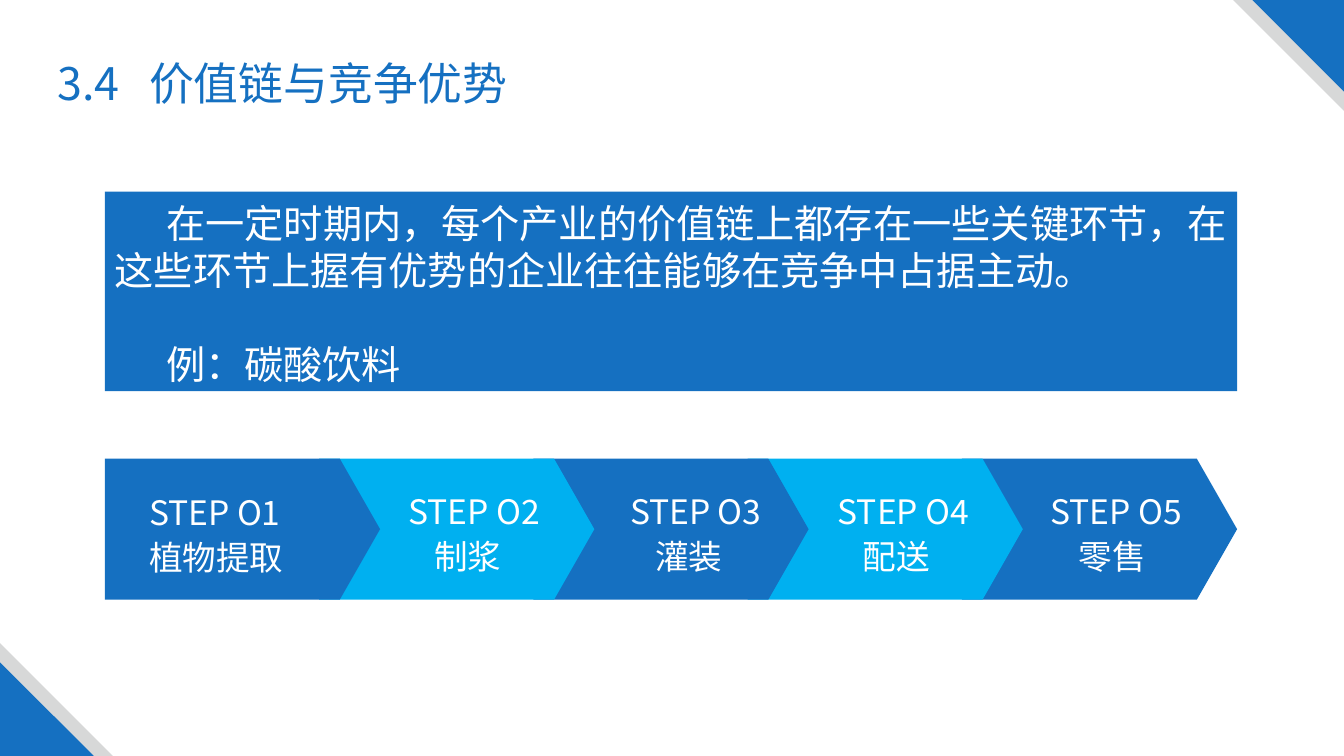
from dataclasses import dataclass

from lxml.etree import SubElement
from pptx import Presentation
from pptx.dml.color import RGBColor
from pptx.enum.shapes import MSO_SHAPE
from pptx.enum.text import MSO_ANCHOR, PP_ALIGN
from pptx.oxml.ns import qn
from pptx.util import Inches, Pt


@dataclass(frozen=True)
class Theme:
    font: str = "Noto Sans CJK SC"
    blue: RGBColor = RGBColor(0x15, 0x70, 0xC1)
    sky: RGBColor = RGBColor(0x00, 0xB0, 0xF0)
    grey: RGBColor = RGBColor(0xD7, 0xD8, 0xD8)
    white: RGBColor = RGBColor(0xFF, 0xFF, 0xFF)
    title: int = 32
    body: int = 28
    step: int = 24
    leading: float = 1.2


theme = Theme()
prs = Presentation()
prs.slide_width, prs.slide_height = Inches(13.33), Inches(7.5)
s = prs.slides.add_slide(prs.slide_layouts[6])


def add_block(kind, left, top, width, height, fill):
    sp = s.shapes.add_shape(kind, Inches(left), Inches(top), Inches(width), Inches(height))
    sp.shadow.inherit = False
    sp.fill.solid()
    sp.fill.fore_color.rgb = fill
    sp.line.fill.background()
    return sp


def write(sp, lines, size, color, wrap=True, align=PP_ALIGN.LEFT):
    tf = sp.text_frame
    tf.word_wrap = wrap
    tf.vertical_anchor = MSO_ANCHOR.TOP
    tf.margin_top, tf.margin_bottom = Inches(0.08), Inches(0)
    for i, line in enumerate(lines):
        p = tf.paragraphs[0] if i == 0 else tf.add_paragraph()
        p.alignment = align
        p.line_spacing = Pt(size * theme.leading)
        if i:
            p.space_before = Pt(size * theme.leading)
        r = p.add_run()
        r.text = line
        r.font.name = theme.font
        r.font.size = Pt(size)
        r.font.color.rgb = color
        SubElement(r.font._element, qn("a:ea"), typeface=theme.font)
    return tf


# Corner triangles, grey behind blue
for size, color in ((1.1, theme.grey), (0.91, theme.blue)):
    sp = add_block(MSO_SHAPE.RIGHT_TRIANGLE, 13.33 - size, 0, size, size, color)
    sp.rotation = 180
for size, color in ((1.12, theme.grey), (0.93, theme.blue)):
    add_block(MSO_SHAPE.RIGHT_TRIANGLE, 0, 7.5 - size, size, size, color)

# Title, with a tab after the section number
sp = s.shapes.add_textbox(Inches(0.47), Inches(0.47), Inches(5.92), Inches(0.64))
tf = write(sp, ["3.4\t价值链与竞争优势"], theme.title, theme.blue)
tabs = SubElement(tf.paragraphs[0]._p.get_or_add_pPr(), qn("a:tabLst"))
SubElement(tabs, qn("a:tab"), pos=str(Inches(0.91)), algn="l")

# Explanation panel
sp = add_block(MSO_SHAPE.RECTANGLE, 1.04, 1.9, 11.23, 1.98, theme.blue)
tf = write(sp, [
    "在一定时期内，每个产业的价值链上都存在一些关键环节，在这些环节上握有优势的企业往往能够在竞争中占据主动。",
    "例：碳酸饮料",
], theme.body, theme.white, align=PP_ALIGN.JUSTIFY)
for p in tf.paragraphs:
    p._p.get_or_add_pPr().set("indent", str(Inches(0.51)))

# Value chain: step label and left, stage name and left and width, top of label
steps = [
    ("STEP O1", 1.38, "植物提取", 1.38, 1.55, 4.8),
    ("STEP O2", 3.95, "制浆", 4.21, 0.88, 4.79),
    ("STEP O3", 6.15, "灌装", 6.4, 0.88, 4.79),
    ("STEP O4", 8.21, "配送", 8.46, 0.88, 4.79),
    ("STEP O5", 10.32, "零售", 10.6, 0.88, 4.79),
]
pitch, arrow_w, arrow_h, tip = 2.125, 2.73, 1.4, 0.4

# Right to left, so that each arrow tip lies over the next arrow
for i, (label, label_x, name, name_x, name_w, top) in reversed(list(enumerate(steps))):
    color = theme.sky if i % 2 else theme.blue
    sp = add_block(MSO_SHAPE.PENTAGON, 1.04 + i * pitch, 4.55, arrow_w, arrow_h, color)
    sp.adjustments[0] = tip / arrow_h
    for text, x, y, w in ((label, label_x, top, 1.61), (name, name_x, top + 0.45, name_w)):
        sp = s.shapes.add_textbox(Inches(x), Inches(y), Inches(w), Inches(0.5))
        write(sp, [text], theme.step, theme.white, wrap=False)

prs.save("out.pptx")
